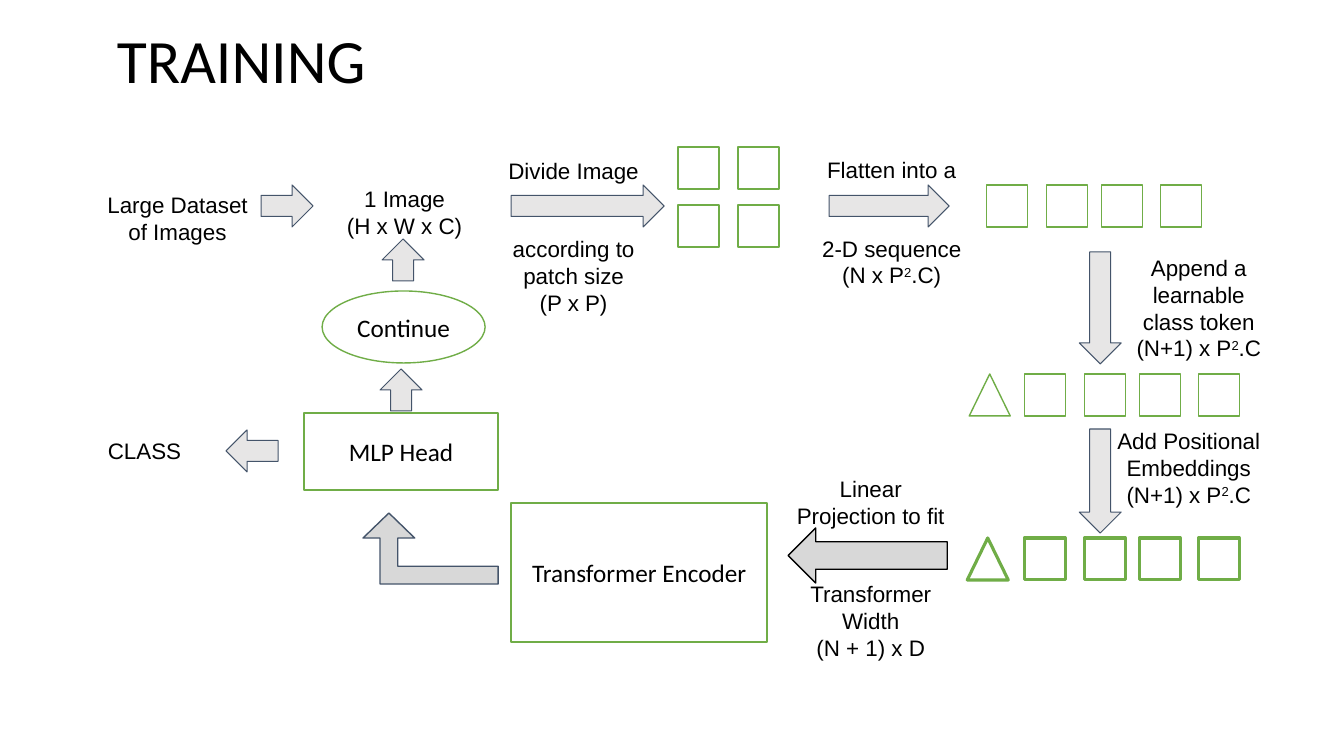
"""Build the TRAINING slide: the loop from image dataset to class prediction."""
import pptx
import pptx.dml.color
import pptx.enum.shapes
import pptx.enum.text
import pptx.util

KIND = pptx.enum.shapes.MSO_SHAPE
ALIGN = pptx.enum.text.PP_ALIGN
ANCHOR = pptx.enum.text.MSO_ANCHOR

THEME = {
    "black": "000000", "white": "FFFFFF", "green": "70AD47",
    "pale": "E7E6E6", "grey": "D8D8D8", "slate": "44546A",
    "title": {"name": "Calibri", "size": 44},
    "stage": {"name": "Calibri", "size": 18},
    "label": {"name": "Arial", "size": 16},
}

TITLE = ("TRAINING", (107, 15, 1145, 97))

# Each label: box, paragraphs above the arrow, paragraphs below the arrow.
LABELS = [
    ((94, 181, 167, 97), ["Large Dataset of Images"], []),
    ((321, 175, 167, 97), ["1 Image", "(H x W x C)"], []),
    ((490, 147, 167, 177), ["Divide Image"], ["according to patch size", "(P x P)"]),
    ((808, 146, 167, 177), ["Flatten into a"], ["2-D sequence", "(N x P^2^.C)"]),
    ((1115, 244, 167, 121), ["Append a learnable class token", "(N+1) x P^2^.C"], []),
    ((1105, 417, 167, 121), ["Add Positional Embeddings", "(N+1) x P^2^.C"], []),
    ((61, 427, 167, 42), ["CLASS"], []),
    ((780, 465, 181, 206), ["Linear Projection to fit"],
     ["Transformer Width", "(N + 1) x D"]),
]
ARROW_GAP = 37

STAGES = [
    ("Transformer Encoder", KIND.RECTANGLE, (511, 503, 256, 139)),
    ("MLP Head", KIND.RECTANGLE, (304, 413, 194, 77)),
    ("Continue", KIND.OVAL, (322, 291, 163, 72)),
]

ARROWS = [
    (KIND.RIGHT_ARROW, (261, 185, 52, 42)),
    (KIND.RIGHT_ARROW, (511, 185, 153, 42)),
    (KIND.RIGHT_ARROW, (829, 185, 120, 42)),
    (KIND.DOWN_ARROW, (1079, 252, 42, 112)),
    (KIND.DOWN_ARROW, (1079, 429, 42, 104)),
    (KIND.LEFT_ARROW, (226, 430, 52, 42)),
    (KIND.UP_ARROW, (380, 369, 42, 42)),
    (KIND.UP_ARROW, (382, 239, 42, 42)),
]
PROJECTION = (788, 528, 159, 55)
TO_HEAD = (363, 513, 135, 71)
TO_HEAD_BENDS = (0.25, 0.364, 0.353)

PATCH = (41, 42)
PATCH_GRID = {"left": 678, "top": 147, "step_x": 60, "step_y": 58}
PATCH_STEPS = (0, 60, 115, 174)
# Each sequence: first patch left, top, class token left, line width.
SEQUENCES = [(986, 185, None, 1), (1024, 374, 969, 1), (1024, 538, 967, 2.25)]

EMU_PER_PX = 914400 / 100.8


def emu(px):
    return pptx.util.Emu(round(px * EMU_PER_PX))


def colour(name):
    return pptx.dml.color.RGBColor.from_string(THEME[name])


def apply(target, values):
    for key, value in values.items():
        setattr(target, key, value)


def write(holder, paragraphs, style, inset_y, anchor, align, below=(), spacing=None):
    frame = holder.text_frame
    apply(frame, {"word_wrap": True, "vertical_anchor": anchor,
                  "margin_left": emu(10), "margin_right": emu(10),
                  "margin_top": emu(inset_y), "margin_bottom": emu(inset_y)})
    for index, words in enumerate([*paragraphs, *below]):
        paragraph = frame.add_paragraph() if index else frame.paragraphs[0]
        apply(paragraph, {"alignment": align, "line_spacing": spacing})
        if below and index == len(paragraphs):
            paragraph.space_before = pptx.util.Pt(ARROW_GAP)
        for part, piece in enumerate(words.split("^")):
            run = paragraph.add_run()
            run.text = piece
            apply(run.font, {"name": THEME[style]["name"],
                             "size": pptx.util.Pt(THEME[style]["size"])})
            run.font.color.rgb = colour("black")
            if part % 2:
                run._r.get_or_add_rPr().set("baseline", "30000")


def draw(slide, kind, box, fill="white", line="green", width=1):
    shape = slide.shapes.add_shape(kind, *map(emu, box))
    shape.shadow.inherit = False
    shape.fill.solid()
    shape.fill.fore_color.rgb = colour(fill)
    shape.line.color.rgb = colour(line)
    shape.line.width = pptx.util.Pt(width)
    return shape


def draw_patches(slide):
    for row in range(2):
        for column in range(2):
            corner = (PATCH_GRID["left"] + column * PATCH_GRID["step_x"],
                      PATCH_GRID["top"] + row * PATCH_GRID["step_y"])
            draw(slide, KIND.RECTANGLE, corner + PATCH)
    for left, top, token_left, width in SEQUENCES:
        for step in PATCH_STEPS:
            draw(slide, KIND.RECTANGLE, (left + step, top) + PATCH, width=width)
        if token_left is not None:
            draw(slide, KIND.ISOSCELES_TRIANGLE, (token_left, top) + PATCH, width=width)


def draw_arrows(slide):
    for kind, box in ARROWS:
        draw(slide, kind, box, "pale", "slate", 0.75)
    draw(slide, KIND.LEFT_ARROW, PROJECTION, "grey", "black")
    to_head = draw(slide, KIND.BENT_UP_ARROW, TO_HEAD, "grey", "slate")
    for index, bend in enumerate(TO_HEAD_BENDS):
        to_head.adjustments[index] = bend
    to_head._element.spPr.xfrm.set("flipH", "1")


def main():
    deck = pptx.Presentation()
    apply(deck, {"slide_width": pptx.util.Inches(13.33),
                 "slide_height": pptx.util.Inches(7.5)})
    slide = deck.slides.add_slide(deck.slide_layouts[6])
    heading, heading_box = TITLE
    title = slide.shapes.add_textbox(*map(emu, heading_box))
    write(title, [heading], "title", 5, ANCHOR.MIDDLE, ALIGN.LEFT, spacing=0.9)
    draw_patches(slide)
    draw_arrows(slide)
    for name, kind, box in STAGES:
        write(draw(slide, kind, box), [name], "stage", 5, ANCHOR.MIDDLE, ALIGN.CENTER)
    for box, above, below in LABELS:
        label = slide.shapes.add_textbox(*map(emu, box))
        write(label, above, "label", 10, ANCHOR.TOP, ALIGN.CENTER, below)
    deck.save("out.pptx")


if __name__ == "__main__":
    main()
